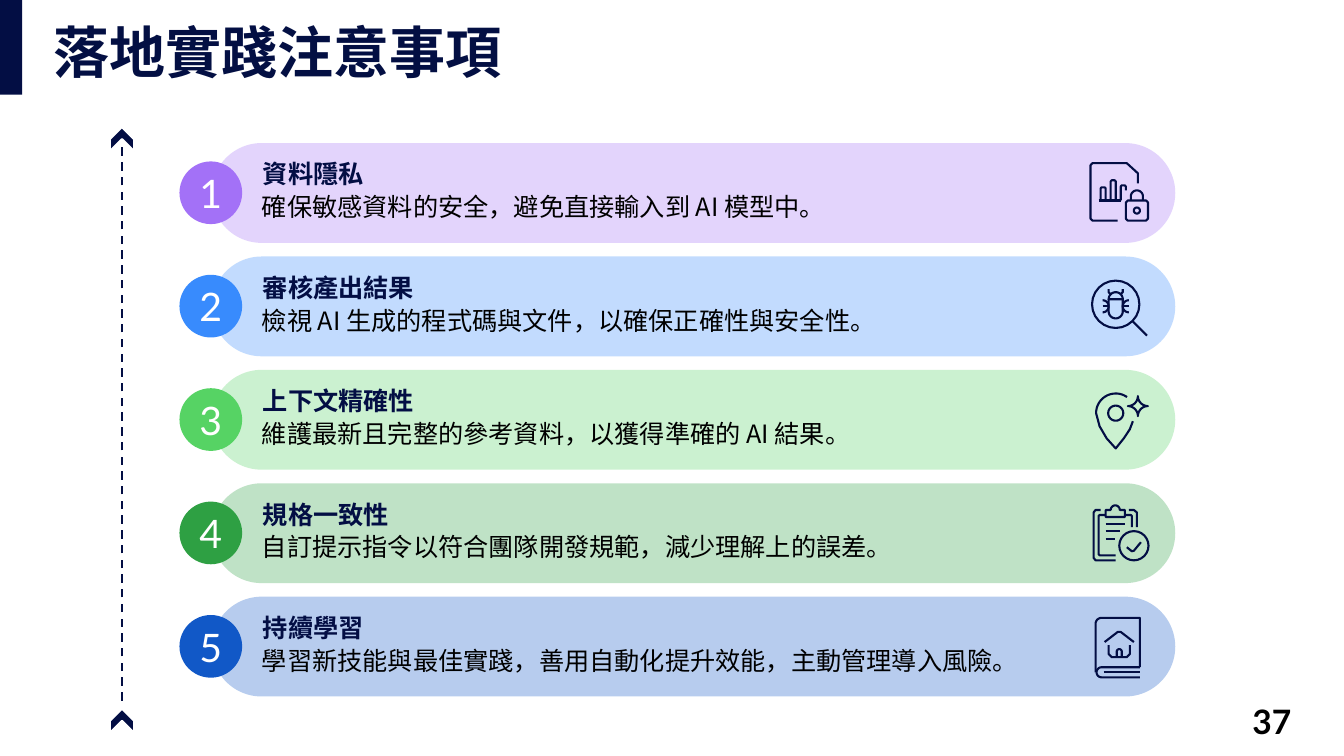
from math import cos, radians, sin

from lxml import etree
from pptx import Presentation
from pptx.dml.color import RGBColor
from pptx.enum.dml import MSO_LINE
from pptx.enum.shapes import MSO_CONNECTOR, MSO_SHAPE
from pptx.enum.text import MSO_ANCHOR, MSO_AUTO_SIZE, PP_ALIGN
from pptx.oxml.ns import qn
from pptx.util import Pt

DASH = MSO_LINE.DASH
STRAIGHT = MSO_CONNECTOR.STRAIGHT
RECTANGLE, PILL = MSO_SHAPE.RECTANGLE, MSO_SHAPE.ROUNDED_RECTANGLE
OVAL, CHEVRON = MSO_SHAPE.OVAL, MSO_SHAPE.CHEVRON
TOP, MIDDLE = MSO_ANCHOR.TOP, MSO_ANCHOR.MIDDLE
GROW, FIXED = MSO_AUTO_SIZE.SHAPE_TO_FIT_TEXT, MSO_AUTO_SIZE.NONE
LEFT, CENTER = PP_ALIGN.LEFT, PP_ALIGN.CENTER
RIGHT, JUSTIFY = PP_ALIGN.RIGHT, PP_ALIGN.JUSTIFY

NAVY, BLACK, WHITE = "030E44", "000000", "FFFFFF"
CJK, LATIN = "Noto Sans CJK TC", "Lato"
ROW_TOP, ROW_PITCH, ROW_HEIGHT = 102.2, 81, 71.3
ICON_UNIT = 0.72


def color(hex_text):
    return RGBColor.from_string(hex_text)


def arc(x, y, radius, start=0, end=360):
    """Points along an arc, clockwise from the right, in degrees."""
    steps = 24
    angles = [radians(start + (end - start) * i / steps) for i in range(steps + 1)]
    return [(x + radius * cos(a), y + radius * sin(a)) for a in angles]


# Icons: each is a list of strokes on a grid of ICON_UNIT points
LOCKED_REPORT = [
    [(27, 57), (2, 57), (0, 55), (0, 2), (2, 0), (36, 0), (47, 10), (47, 20)],
    [(8, 37), (30, 37)],
    [(10, 37), (10, 25), (11, 24), (14, 24), (15, 25), (15, 37)],
    [(20, 37), (20, 18), (21, 17), (24, 17), (25, 18), (25, 37)],
    [(30, 37), (30, 23), (31, 22), (34, 22), (35, 23), (35, 27)],
    [(37, 37), (55, 37), (57, 39), (57, 55), (55, 57), (37, 57), (35, 55),
     (35, 39), (37, 37)],
    arc(46, 47, 3),
    [(40, 37)] + arc(46, 33, 6, 180, 360) + [(52, 37)],
]
BUG_SEARCH = [
    [(42, 44.5), (56, 58.5)],
    arc(25, 27.5, 23.5),
    [(32, 22.5)] + arc(25, 34.5, 7, 0, 180) + [(18, 22.5)],
    arc(25, 22.5, 7, 180, 360) + [(18, 22.5)],
    arc(38, 29.5, 6, 90, 270),
    arc(12, 29.5, 6, -90, 90),
    [(32, 29.5), (38, 29.5)],
    [(12, 29.5), (18, 29.5)],
    [(32, 12.5), (32, 15.5), (30, 17.5)],
    [(18, 12.5), (18, 15.5), (20, 17.5)],
]
PIN_SPARK = [
    arc(25, 23, 19.5, -55, -180) + [(9, 36), (16, 48), (25, 58), (33, 48),
                                    (39, 39), (42, 31)],
    arc(25, 23, 7.5),
    arc(37, 6, 10, 90, 0) + arc(57, 6, 10, 180, 90)
    + arc(57, 26, 10, 270, 180) + arc(37, 26, 10, 360, 270),
]
CHECKED_CLIPBOARD = [
    [(25, 56.5), (5, 56.5), (3, 54), (3, 9), (5, 6.5), (10, 6.5)],
    [(38, 6.5), (43, 6.5), (46, 9), (46, 23.5)],
    arc(24.5, 6.5, 4.5, 180, 360) + [(34, 6.5), (34, 13.5), (15, 13.5),
                                     (15, 6.5), (20, 6.5)],
    [(41, 23.5), (41, 12.5), (40, 11.5), (34, 11.5)],
    [(15, 11.5), (9, 11.5), (8, 12.5), (8, 50.5), (9, 51.5), (25, 51.5)],
    [(15, 20.5), (34, 20.5)],
    [(15, 27.5), (29, 27.5)],
    [(15, 35.5), (24, 35.5)],
    arc(43, 42, 14.5),
    [(50, 38.5), (43, 47), (41, 47.5), (36, 43.5)],
]
HOME_BOOK = [
    [(14, 25), (27, 15), (30, 15), (43, 25)],
    [(39, 28), (39, 37), (36, 40), (21, 40), (18, 37), (18, 28)],
    [(26, 40)] + arc(28.5, 34.5, 2.5, 180, 360) + [(31, 40)],
    [(49, 50), (49, 1)] + arc(11, 7, 6, 270, 180) + [(5, 55)],
    [(49, 50)] + arc(11, 55, 5, 270, 90) + [(49, 60)],
    [(13, 55), (49, 55)],
]


class Page:
    """Holds the current slide and draws its elements; lengths in points."""

    def __init__(self, deck):
        self.slide = deck.slides.add_slide(deck.slide_layouts[5])
        self.shapes = self.slide.shapes

    def set_text(self, shape, text, size, ink, font, bold=False, align=LEFT,
                 anchor=TOP, fit=FIXED):
        frame = shape.text_frame
        frame.word_wrap = True
        frame.auto_size = fit
        frame.vertical_anchor = anchor
        para = frame.paragraphs[0]
        para.text = text
        para.alignment = align
        para.font.name = font
        para.font.size = Pt(size)
        para.font.bold = bold
        para.font.color.rgb = color(ink)
        if font != LATIN:
            defaults = para._p.pPr.find(qn("a:defRPr"))
            etree.SubElement(defaults, qn("a:ea"), typeface=CJK)
        return para

    def title(self, text, left, top, width, height):
        box = self.shapes.title
        box.left, box.top, box.width, box.height = map(Pt, (left, top, width, height))
        para = self.set_text(box, text, 40, "030F43", "Arial Narrow", True, anchor=MIDDLE)
        para.line_spacing = 0.9

    def text(self, text, left, top, width, height, size, ink, font, **style):
        box = self.shapes.add_textbox(*map(Pt, (left, top, width, height)))
        self.set_text(box, text, size, ink, font, **style)

    def shape(self, kind, left, top, width, height, fill, line=None, opacity=None):
        shape = self.shapes.add_shape(kind, *map(Pt, (left, top, width, height)))
        shape.shadow.inherit = False
        shape.fill.solid()
        shape.fill.fore_color.rgb = color(fill)
        if line:
            shape.line.color.rgb = color(line)
            shape.line.width = Pt(1.5)
        else:
            shape.line.fill.background()
        if opacity:
            tint = shape._element.spPr.find(".//" + qn("a:srgbClr"))
            etree.SubElement(tint, qn("a:alpha"), val=str(opacity * 1000))
        return shape

    def badge(self, number, left, top, size, fill):
        circle = self.shape(OVAL, left, top, size, size, fill)
        frame = circle.text_frame
        frame.margin_left = frame.margin_right = 0
        frame.margin_top = frame.margin_bottom = 0
        self.set_text(circle, str(number), 28, WHITE, LATIN, align=CENTER, anchor=MIDDLE)

    def dashed_line(self, x1, y1, x2, y2):
        line = self.shapes.add_connector(STRAIGHT, *map(Pt, (x1, y1, x2, y2)))
        line.line.color.rgb = color(NAVY)
        line.line.width = Pt(1.5)
        line.line.dash_style = DASH
        etree.SubElement(line._element.spPr, qn("a:effectLst"))

    def icon(self, strokes, left, top):
        outlines = [[(Pt(x * ICON_UNIT), Pt(y * ICON_UNIT)) for x, y in stroke]
                    for stroke in strokes]
        first, *others = outlines
        builder = self.shapes.build_freeform(*first[0])
        builder.add_line_segments(first[1:], close=False)
        for points in others:
            builder.move_to(*points[0])
            builder.add_line_segments(points[1:], close=False)
        drawing = builder.convert_to_shape(Pt(left), Pt(top))
        drawing.shadow.inherit = False
        drawing.fill.background()
        drawing.line.color.rgb = color(NAVY)
        drawing.line.width = Pt(1.5)


ROWS = [
    ("資料隱私", "確保敏感資料的安全，避免直接輸入到 AI 模型中。", "A371F7", 468.7, LOCKED_REPORT),
    ("審核產出結果", "檢視 AI 生成的程式碼與文件，以確保正確性與安全性。", "388BFD", 468.7, BUG_SEARCH),
    ("上下文精確性", "維護最新且完整的參考資料，以獲得準確的 AI 結果。", "56D364", 468.7, PIN_SPARK),
    ("規格一致性", "自訂提示指令以符合團隊開發規範，減少理解上的誤差。", "2EA043", 468.7,
     CHECKED_CLIPBOARD),
    ("持續學習", "學習新技能與最佳實踐，善用自動化提升效能，主動管理導入風險。", "1158C7", 578.2,
     HOME_BOOK),
]


def main():
    deck = Presentation()
    deck.slide_width, deck.slide_height = Pt(960), Pt(540)
    page = Page(deck)

    # Heading and page number
    page.shape(RECTANGLE, 0, 0, 15.8, 67.7, NAVY)
    page.title("落地實踐注意事項", 31, 17.3, 898.6, 44.6)
    page.text("37", 713.5, 500.4, 216, 28.8, 24, BLACK, LATIN, bold=True,
              align=RIGHT, anchor=MIDDLE)

    # Upward arrow on the left
    page.dashed_line(87.1, 500.4, 87.1, 102.2)
    for top in (90.7, 506.2):
        page.shape(CHEVRON, 78.5, top, 17.3, 17.3, NAVY, line=WHITE).rotation = 270

    # Numbered rows
    for number, (heading, advice, tint, width, icon) in enumerate(ROWS, 1):
        top = ROW_TOP + (number - 1) * ROW_PITCH
        page.shape(PILL, 151.2, top, 688.3, ROW_HEIGHT, tint, opacity=30).adjustments[0] = 0.5
        page.text(advice, 180, top + 31.1, width, 28.8, 18, BLACK, CJK,
                  align=JUSTIFY, fit=GROW)
        page.badge(number, 128.2, top + 13.1, 44.8, tint)
        page.text(heading, 180.7, top + 7.7, 425.5, 28.8, 18, NAVY, CJK,
                  bold=True, fit=GROW)
        page.icon(icon, 779, top + 14.4)

    deck.save("out.pptx")


if __name__ == "__main__":
    main()
